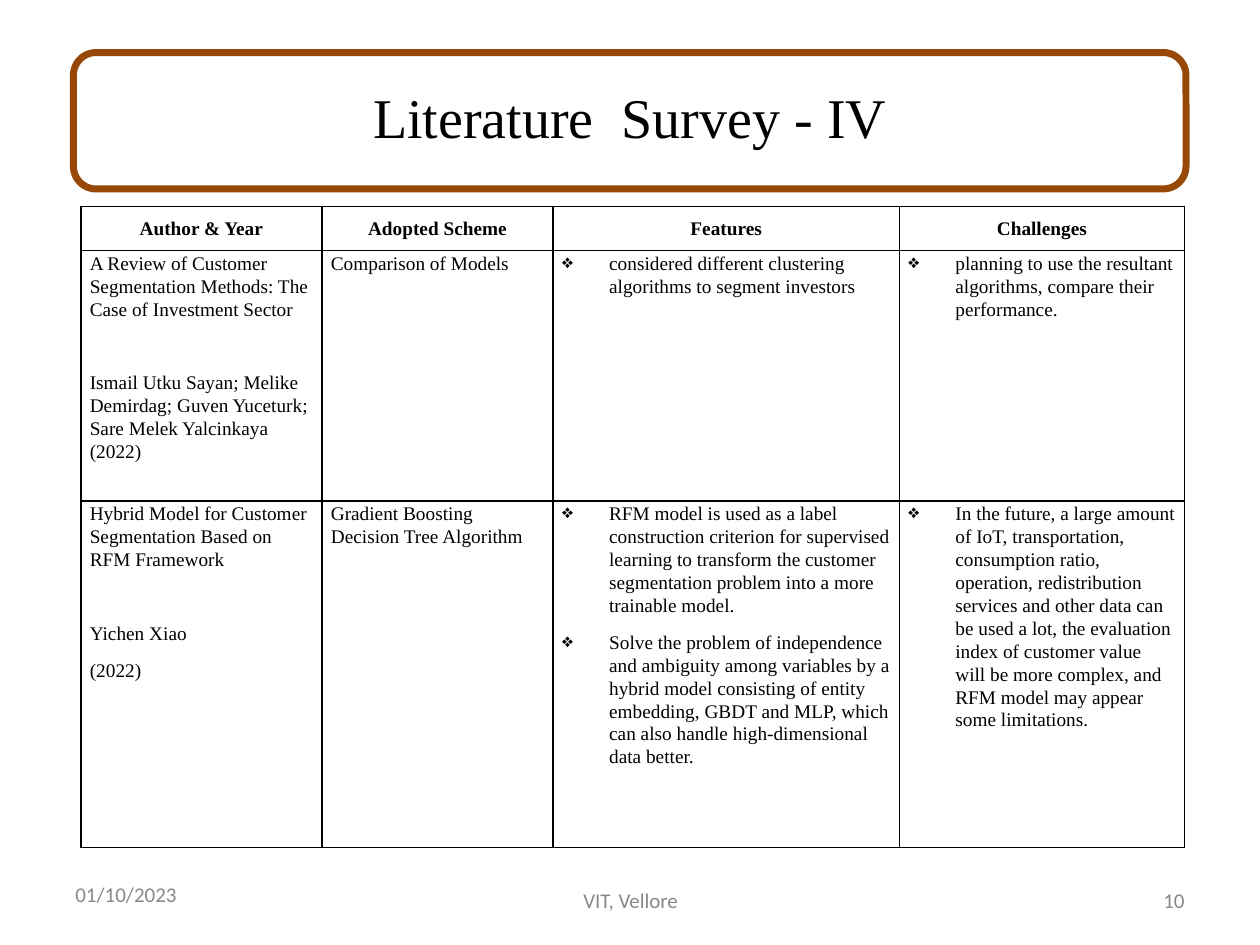
import pptx
import pptx.dml.color
import pptx.enum.shapes
import pptx.enum.text
import pptx.oxml.ns
import pptx.util
from lxml import etree

Cm = pptx.util.Cm
Pt = pptx.util.Pt
ALIGN = pptx.enum.text.PP_ALIGN
MIDDLE = pptx.enum.text.MSO_ANCHOR.MIDDLE

TITLE = "Literature  Survey - IV"
HEADINGS = ["Author & Year", "Adopted Scheme", "Features", "Challenges"]
PAPERS = [
    {
        "study": "A Review of Customer Segmentation Methods: The Case of Investment Sector",
        "authors": ["Ismail Utku Sayan; Melike Demirdag; Guven Yuceturk; "
                    "Sare Melek Yalcinkaya (2022)"],
        "scheme": "Comparison of Models",
        "features": ["considered different clustering algorithms to segment investors"],
        "challenges": ["planning to use the resultant algorithms, compare their performance."],
    },
    {
        "study": "Hybrid Model for Customer Segmentation Based on RFM Framework",
        "authors": ["Yichen Xiao", "(2022)"],
        "scheme": "Gradient Boosting Decision Tree Algorithm",
        "features": [
            "RFM model is used as a label construction criterion for supervised learning "
            "to transform the customer segmentation problem into a more trainable model.",
            "Solve the problem of independence and ambiguity among variables by a hybrid "
            "model consisting of entity embedding, GBDT and MLP, which can also handle "
            "high-dimensional data better.",
        ],
        "challenges": [
            "In the future, a large amount of IoT, transportation, consumption ratio, "
            "operation, redistribution services and other data can be used a lot, the "
            "evaluation index of customer value will be more complex, and RFM model may "
            "appear some limitations."
        ],
    },
]
FOOTERS = [
    ("01/10/2023", 1.27, 17.53, 5.92, ALIGN.LEFT),
    ("10", 18.21, 17.65, 5.92, ALIGN.RIGHT),
    ("VIT, Vellore", 8.69, 17.65, 8.05, ALIGN.CENTER),
]
COLUMN_WIDTHS = [4.86, 4.66, 6.98, 5.75]
ROW_HEIGHTS = [0.89, 5.05, 6.98]
BLACK, GREY, BROWN = "000000", "888888", "974806"

TITLE_FONT = {"name": "Times New Roman", "size": Pt(32), "bold": False}
HEADING_FONT = {"name": "Times New Roman", "size": Pt(11), "bold": True}
BODY_FONT = {**HEADING_FONT, "bold": False}
FOOTER_FONT = {"name": "Calibri", "size": Pt(12)}
HEADING_FORMAT = {"alignment": ALIGN.CENTER, "line_spacing": 1.5}
BODY_FORMAT = {"alignment": ALIGN.LEFT, "line_spacing": 1.07}
PARAGRAPH_GAP, AUTHOR_GAP = 8, 29


def colour(target, value):
    target.rgb = pptx.dml.color.RGBColor.from_string(value)


def apply(target, values):
    for name, value in values.items():
        setattr(target, name, value)


def add_element(parent, tag, **attributes):
    return etree.SubElement(parent, pptx.oxml.ns.qn(tag), attributes)


def write(paragraph, text, layout, font, ink=BLACK):
    paragraph.text = text
    apply(paragraph, layout)
    apply(paragraph.runs[0].font, font)
    colour(paragraph.runs[0].font.color, ink)


def add_bullet(paragraph):
    properties = paragraph._p.get_or_add_pPr()
    properties.set("marL", str(Cm(0.95)))
    properties.set("indent", str(-Cm(0.95)))
    add_element(add_element(properties, "a:buClr"), "a:srgbClr", val=BLACK)
    add_element(properties, "a:buChar", char="❖")


def add_borders(cell):
    properties = cell._tc.get_or_add_tcPr()
    for side in ("a:lnL", "a:lnR", "a:lnT", "a:lnB"):
        border = add_element(properties, side, w=str(Pt(1)))
        add_element(add_element(border, "a:solidFill"), "a:srgbClr", val=BLACK)


def fill_cell(cell, texts, gaps, layout, font, bulleted=False):
    apply(cell, {"margin_left": Cm(0.18), "margin_right": Cm(0.18),
                 "margin_top": Cm(0.02), "margin_bottom": 0})
    add_borders(cell)
    cell.fill.background()
    frame = cell.text_frame
    for index, text in enumerate(texts):
        paragraph = frame.add_paragraph() if index else frame.paragraphs[0]
        if bulleted:
            add_bullet(paragraph)
        write(paragraph, text, layout, font)
        if index:
            paragraph.space_before = Pt(gaps[index - 1])


def add_title(slide):
    title = slide.shapes.title
    apply(title, {"left": Cm(1.27), "top": Cm(0.76), "width": Cm(22.86), "height": Cm(3.18)})
    title.text_frame.vertical_anchor = MIDDLE
    write(title.text_frame.paragraphs[0], TITLE, {"alignment": ALIGN.CENTER}, TITLE_FONT)

    title_frame = slide.shapes.add_shape(
        pptx.enum.shapes.MSO_SHAPE.FLOWCHART_ALTERNATE_PROCESS,
        Cm(1.48), Cm(1.06), Cm(22.43), Cm(2.75))
    title_frame.shadow.inherit = False
    title_frame.fill.background()
    colour(title_frame.line.color, BROWN)
    title_frame.line.width = Pt(4)


def add_footers(slide):
    for text, left, top, width, alignment in FOOTERS:
        footer = slide.shapes.add_textbox(Cm(left), Cm(top), Cm(width), Cm(1.01)).text_frame
        apply(footer, {"word_wrap": True, "vertical_anchor": MIDDLE})
        write(footer.paragraphs[0], text, {"alignment": alignment}, FOOTER_FONT, GREY)


def add_survey(slide):
    survey = slide.shapes.add_table(
        len(ROW_HEIGHTS), len(COLUMN_WIDTHS), Cm(1.63), Cm(4.16),
        Cm(sum(COLUMN_WIDTHS)), Cm(sum(ROW_HEIGHTS))).table
    apply(survey, {"first_row": False, "horz_banding": False})
    for column, width in zip(survey.columns, COLUMN_WIDTHS):
        column.width = Cm(width)
    for row, height in zip(survey.rows, ROW_HEIGHTS):
        row.height = Cm(height)

    for column, heading in enumerate(HEADINGS):
        fill_cell(survey.cell(0, column), [heading], [], HEADING_FORMAT, HEADING_FONT)
    for row, paper in enumerate(PAPERS, start=1):
        contents = [[paper["study"], *paper["authors"]], [paper["scheme"]],
                    paper["features"], paper["challenges"]]
        for column, texts in enumerate(contents):
            gaps = [PARAGRAPH_GAP] * len(texts)
            if column == 0:
                gaps[0] = AUTHOR_GAP
            fill_cell(survey.cell(row, column), texts, gaps, BODY_FORMAT, BODY_FONT,
                      bulleted=column >= 2)


def main():
    deck = pptx.Presentation()
    apply(deck, {"slide_width": Cm(25.4), "slide_height": Cm(19.05)})
    slide = deck.slides.add_slide(deck.slide_layouts[5])
    add_title(slide)
    add_footers(slide)
    add_survey(slide)
    deck.save("out.pptx")


if __name__ == "__main__":
    main()
